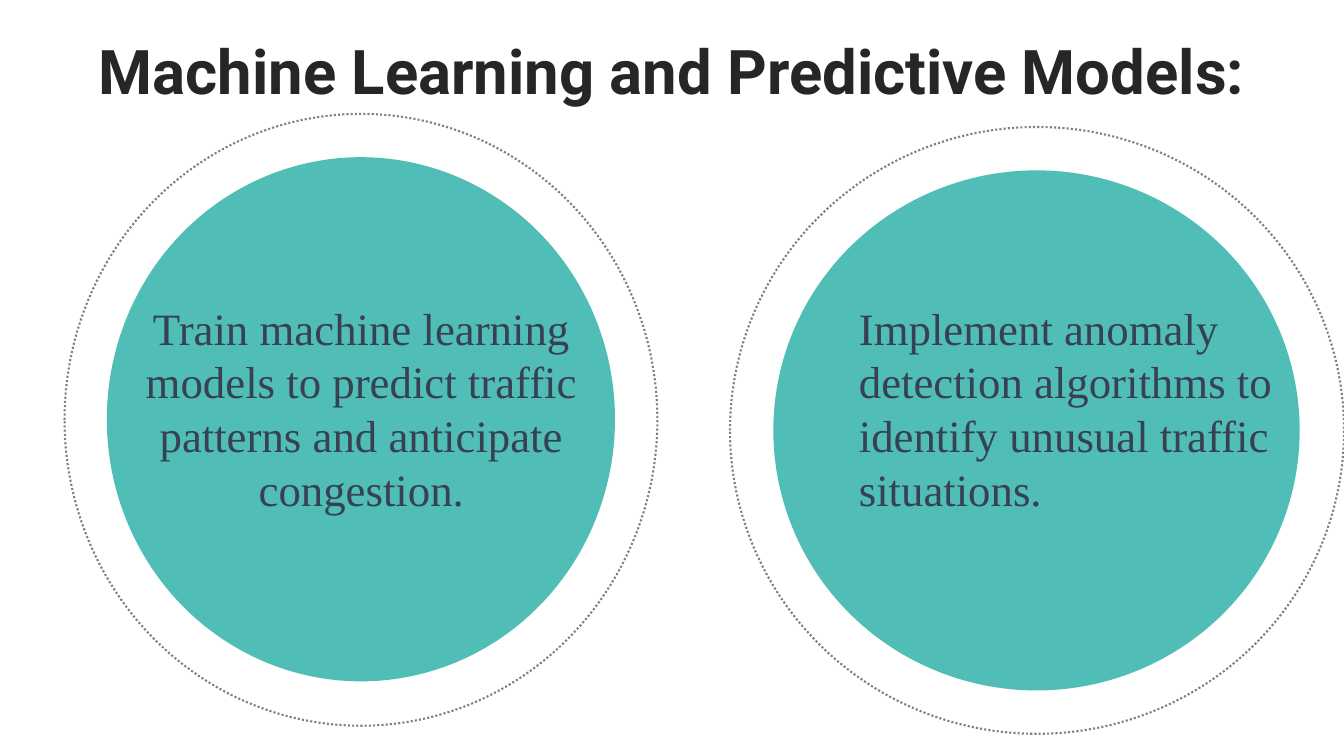
"""Builds a slide with two ringed circles describing predictive traffic models."""
from lxml import etree
from pptx import Presentation
from pptx.dml.color import RGBColor
from pptx.enum import dml, shapes, text
from pptx.oxml.ns import qn
from pptx.util import Inches, Pt

TITLE = "Machine Learning and Predictive Models:"
TITLE_BOX = (0.34, 0.34, 12.66, 0.79)
CIRCLES = [
    {
        "text": "Train machine learning models to predict traffic patterns and anticipate congestion.",
        "align": text.PP_ALIGN.CENTER,
        "disc": (1.06, 1.56, 5.04, 5.2),
        "ring": (0.64, 1.13, 5.88, 6.07),
        "label": (1.28, 2.93, 4.61, 2.26),
    },
    {
        "text": "Implement anomaly detection algorithms to identify unusual traffic situations.",
        "align": text.PP_ALIGN.LEFT,
        "disc": (7.67, 1.69, 5.22, 5.16),
        "ring": (7.24, 1.26, 6.09, 6.02),
        "label": (8.42, 2.93, 4.67, 2.26),
    },
]
THEME = {
    "disc": RGBColor.from_string("07A398"),
    "disc_alpha": 70,
    "ring": RGBColor.from_string("808080"),
    "ring_width": Pt(1.5),
    "title": {"name": "Roboto", "size": Pt(44), "bold": True, "color": "262626"},
    "label": {"name": "Times New Roman", "size": Pt(32), "bold": False, "color": "374151"},
}


def add_text(slide, box, content, style, frame_format, paragraph_format):
    frame = slide.shapes.add_textbox(*map(Inches, box)).text_frame
    paragraph = frame.paragraphs[0]
    paragraph.text = content
    font_format = {key: value for key, value in style.items() if key != "color"}
    for target, values in (
        (frame, {"word_wrap": True, **frame_format}),
        (paragraph, paragraph_format),
        (paragraph.runs[0].font, font_format),
    ):
        for key, value in values.items():
            setattr(target, key, value)
    paragraph.runs[0].font.color.rgb = RGBColor.from_string(style["color"])


def add_ellipse(slide, box):
    ellipse = slide.shapes.add_shape(shapes.MSO_SHAPE.OVAL, *map(Inches, box))
    ellipse.shadow.inherit = False
    return ellipse


def add_disc(slide, box):
    disc = add_ellipse(slide, box)
    disc.fill.solid()
    disc.fill.fore_color.rgb = THEME["disc"]
    disc.line.fill.background()
    color = disc.fill._xPr.find(qn("a:solidFill"))[0]
    etree.SubElement(color, qn("a:alpha"), val=str(THEME["disc_alpha"] * 1000))


def add_ring(slide, box):
    ring = add_ellipse(slide, box)
    ring.fill.background()
    ring.line.color.rgb = THEME["ring"]
    ring.line.width = THEME["ring_width"]
    ring.line.dash_style = dml.MSO_LINE.ROUND_DOT


def main():
    presentation = Presentation()
    presentation.slide_width, presentation.slide_height = Inches(13.33), Inches(7.5)
    slide = presentation.slides.add_slide(presentation.slide_layouts[6])
    add_text(slide, TITLE_BOX, TITLE, THEME["title"],
             {"vertical_anchor": text.MSO_ANCHOR.MIDDLE},
             {"alignment": text.PP_ALIGN.CENTER, "line_spacing": 0.9})
    for circle in CIRCLES:
        add_disc(slide, circle["disc"])
        add_ring(slide, circle["ring"])
        add_text(slide, circle["label"], circle["text"], THEME["label"],
                 {"auto_size": text.MSO_AUTO_SIZE.SHAPE_TO_FIT_TEXT},
                 {"alignment": circle["align"]})
    presentation.save("out.pptx")


if __name__ == "__main__":
    main()
